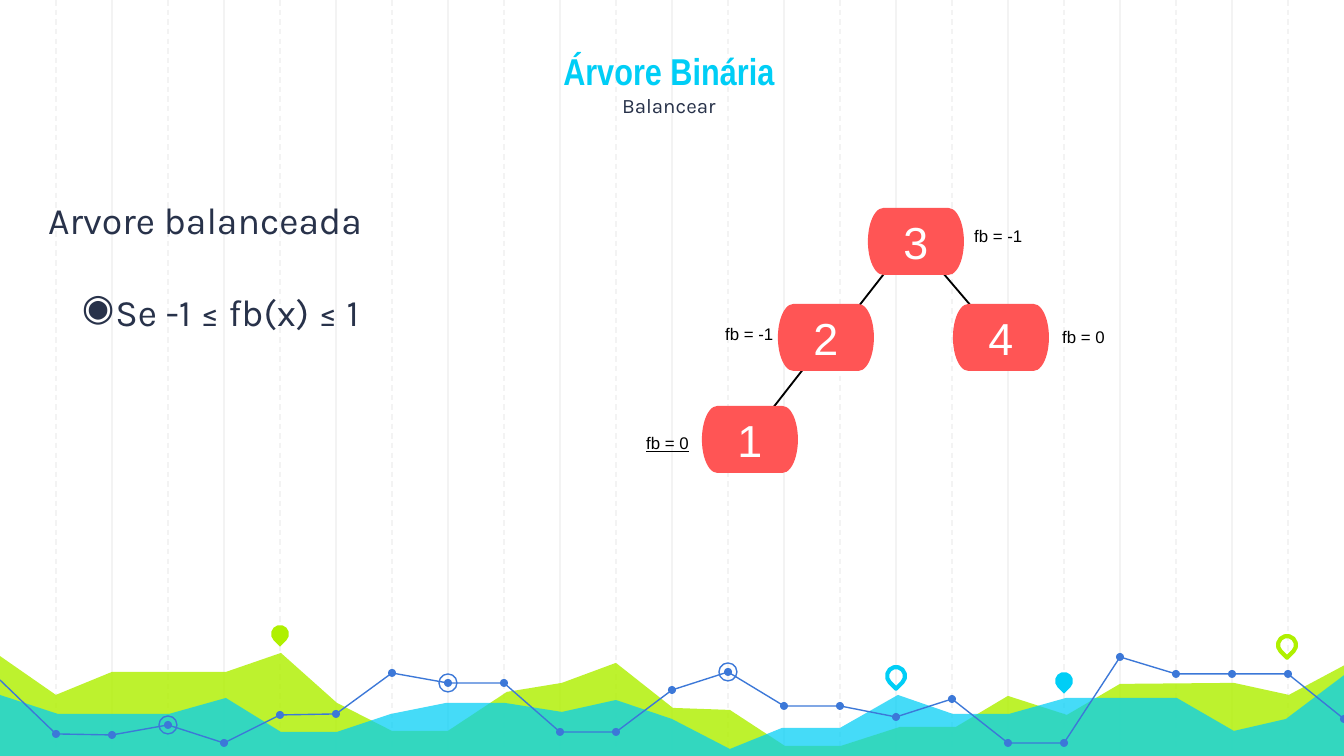
import pptx
import pptx.util
from lxml import etree
from pptx.dml.color import RGBColor
from pptx.enum.dml import MSO_LINE
from pptx.enum.shapes import MSO_CONNECTOR, MSO_SHAPE
from pptx.enum.text import MSO_ANCHOR, PP_ALIGN
from pptx.oxml.ns import qn

PX = 914400 / 134.4
COLUMN = 56  # px between grid lines

GRID = RGBColor(0xF3, 0xF3, 0xF3)
LIME = RGBColor(0xAF, 0xF0, 0x00)
CYAN = RGBColor(0x00, 0xCE, 0xF6)
BLUE = RGBColor(0x3C, 0x78, 0xD8)
NAVY = RGBColor(0x28, 0x32, 0x4A)
CORAL = RGBColor(0xFF, 0x55, 0x55)
BLACK = RGBColor(0x00, 0x00, 0x00)
WHITE = RGBColor(0xFF, 0xFF, 0xFF)

prs = pptx.Presentation()
prs.slide_width = round(1344 * PX)
prs.slide_height = round(756 * PX)
slide = prs.slides.add_slide(prs.slide_layouts[6])
shapes = slide.shapes


def emu(*lengths):
    return [round(length * PX) for length in lengths]


def paint(shape, fill=None, line=None, width=0.75):
    """Give a shape a flat fill and outline; None means neither."""
    shape.shadow.inherit = False
    if fill is None:
        shape.fill.background()
    else:
        shape.fill.solid()
        shape.fill.fore_color.rgb = fill
    if line is None:
        shape.line.fill.background()
    else:
        shape.line.color.rgb = line
        shape.line.width = pptx.util.Pt(width)


# Straight lines: solid grid, dashed grid, tree edges
grid = [(COLUMN * k, 0, COLUMN * k, 759, GRID, 0.75, k % 2 == 1)
        for k in [*range(2, 23, 2), *range(1, 24, 2)]]
edges = [(*ends, BLACK, 1, False) for ends in [
    (808, 363, 762, 422), (943, 273, 989, 327), (887, 270, 841, 329)]]
for x1, y1, x2, y2, color, width, dashed in grid + edges:
    line = shapes.add_connector(MSO_CONNECTOR.STRAIGHT, *emu(x1, y1, x2, y2))
    line.line.color.rgb = color
    line.line.width = pptx.util.Pt(width)
    if dashed:
        line.line.dash_style = MSO_LINE.DASH
    etree.SubElement(line._element.spPr, qn("a:effectLst"))

# Translucent areas along the bottom
lime_area = [
    (-3, 654), (56, 695), (112, 672), (226, 672), (281, 653), (337, 703),
    (392, 731), (448, 731), (507, 692), (562, 683), (616, 663), (673, 708),
    (730, 710), (785, 746), (841, 746), (900, 727), (956, 727), (1008, 696),
    (1067, 715), (1120, 684), (1234, 683), (1289, 695), (1347, 664),
    (1345, 758), (-4, 758)]
cyan_area = [
    (-3, 694), (58, 714), (169, 714), (226, 698), (281, 732), (337, 732),
    (391, 714), (446, 703), (505, 703), (562, 712), (616, 700), (672, 719),
    (730, 749), (782, 728), (840, 728), (898, 695), (953, 714), (1009, 714),
    (1066, 698), (1177, 698), (1234, 731), (1286, 719), (1347, 673),
    (1347, 759), (-4, 759)]
for outline, color, opacity in [(lime_area, LIME, 82), (cyan_area, CYAN, 73)]:
    builder = shapes.build_freeform(*outline[0], scale=PX)
    builder.add_line_segments(outline[1:], close=True)
    area = builder.convert_to_shape()
    paint(area, fill=color)
    rgb = area._element.spPr.find(qn("a:solidFill"))[0]
    etree.SubElement(rgb, qn("a:alpha"), val=str(opacity * 1000))

# Map pins
for left, top, fill, outline in [
        (271, 625, LIME, None), (887, 667, None, CYAN),
        (1055, 672, CYAN, None), (1278, 636, None, LIME)]:
    pin = shapes.add_shape(MSO_SHAPE.TEAR, *emu(left, top, 18, 18))
    pin.rotation = 135
    paint(pin, fill, outline, 2.25)

# Blue line in three stretches, with a dot on every column and a few rings
heights = [680, 734, 735, 725, 743, 715, 714, 673, 683, 683, 732, 732, 690,
           672, 706, 706, 717, 699, 743, 743, 657, 674, 674, 674, 719]
trend = [(COLUMN * k, y) for k, y in enumerate(heights)]
for first, last in [(0, 11), (11, 20), (20, 24)]:
    builder = shapes.build_freeform(*trend[first], scale=PX)
    builder.add_line_segments(trend[first + 1:last + 1], close=False)
    paint(builder.convert_to_shape(), line=BLUE)
for x, y in trend[1:]:
    dot = shapes.add_shape(MSO_SHAPE.OVAL, *emu(x - 4, y - 4, 8, 8))
    paint(dot, fill=BLUE)
for k in (3, 8, 13):
    x, y = trend[k]
    ring = shapes.add_shape(MSO_SHAPE.OVAL, *emu(x - 9, y - 9, 18, 18))
    paint(ring, line=BLUE)

# Title and explanation
title = shapes.add_textbox(*emu(155, 26, 1028, 105)).text_frame
explanation = shapes.add_textbox(*emu(35, 184, 578, 466)).text_frame
for frame in (title, explanation):
    frame.word_wrap = True
    frame.margin_left = frame.margin_right = pptx.util.Inches(0.1)
    frame.margin_top = frame.margin_bottom = pptx.util.Inches(0.1)

title.vertical_anchor = MSO_ANCHOR.BOTTOM
heading = title.paragraphs[0]
heading.alignment = PP_ALIGN.CENTER
topic = heading.add_run()
topic.text = "Árvore Binária"
heading.add_line_break()
subtopic = heading.add_run()
subtopic.text = "Balancear"
for run, face, size, color, bold in [
        (topic, "Arial Narrow", 20, CYAN, True),
        (subtopic, "Karla", 11, NAVY, False)]:
    run.font.name = face
    run.font.size = pptx.util.Pt(size)
    run.font.color.rgb = color
    run.font.bold = bold

explanation.text = "Arvore balanceada\nSe -1 ≤ fb(x) ≤ 1"
for paragraph in explanation.paragraphs:
    paragraph.alignment = PP_ALIGN.JUSTIFY
    paragraph.font.name = "Karla"
    paragraph.font.size = pptx.util.Pt(20)
    paragraph.font.color.rgb = NAVY
condition = explanation.paragraphs[1]
condition.space_before = pptx.util.Pt(25)
properties = condition._p.get_or_add_pPr()
properties.set("marL", str(pptx.util.Inches(0.5)))
properties.set("indent", str(-pptx.util.Inches(0.25)))
bullet = etree.Element(qn("a:buChar"), char="◉")
properties.find(qn("a:defRPr")).addprevious(bullet)

# Tree nodes
for value, left, top in [
        ("3", 868, 208), ("2", 778, 304), ("4", 953, 304), ("1", 702, 406)]:
    node = shapes.add_shape(MSO_SHAPE.FLOWCHART_TERMINATOR,
                            *emu(left, top, 96, 67))
    paint(node, fill=CORAL)
    node.text_frame.text = value
    node.text_frame.vertical_anchor = MSO_ANCHOR.MIDDLE
    number = node.text_frame.paragraphs[0]
    number.alignment = PP_ALIGN.CENTER
    number.font.name = "Arial"
    number.font.size = pptx.util.Pt(24)
    number.font.color.rgb = WHITE

# Balance factors
for factor, left, top, underlined in [
        ("fb = -1", 961, 219, False), ("fb = 0", 1049, 320, False),
        ("fb = 0", 633, 426, True), ("fb = -1", 712, 317, False)]:
    label = shapes.add_textbox(*emu(left, top, 85, 34)).text_frame
    label.word_wrap = True
    label.text = factor
    font = label.paragraphs[0].font
    font.name = "Arial"
    font.size = pptx.util.Pt(9)
    font.color.rgb = BLACK
    font.underline = underlined

prs.save("out.pptx")
